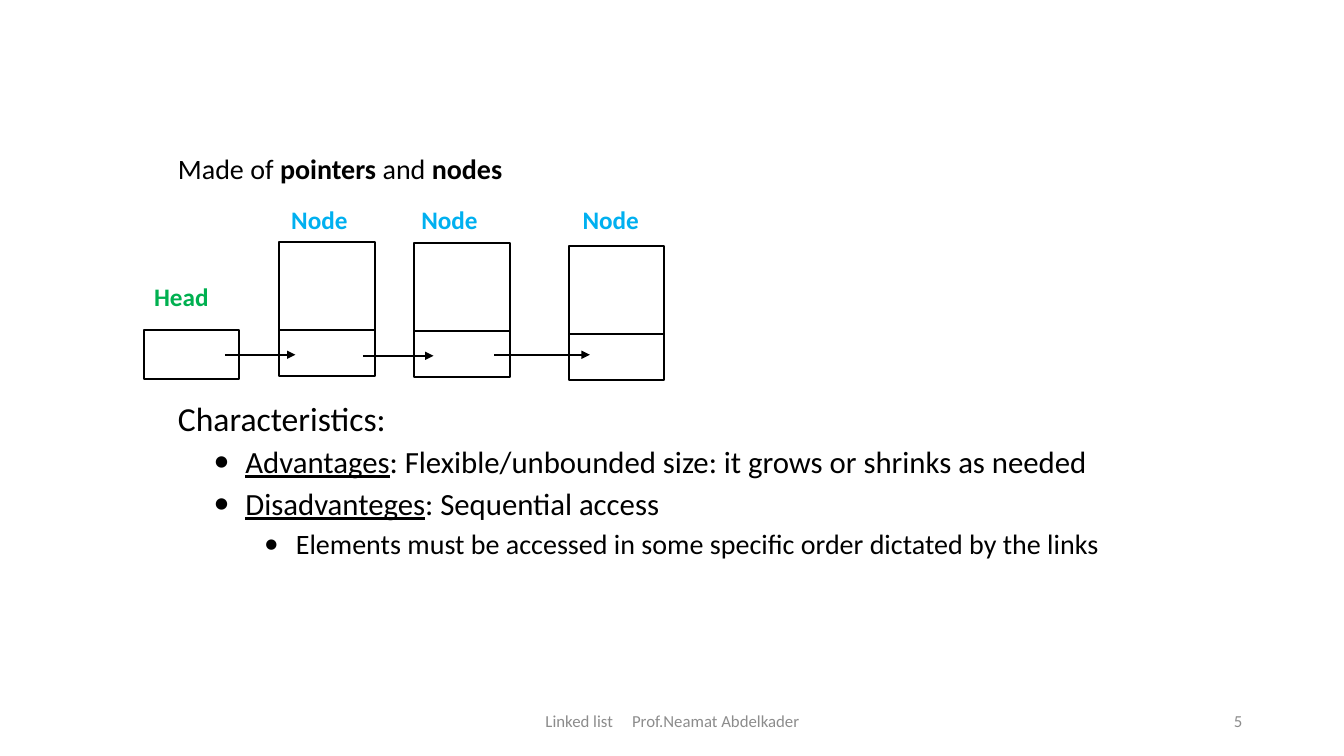
from dataclasses import dataclass
from lxml.etree import SubElement
from pptx import Presentation
from pptx.dml.color import RGBColor
from pptx.enum.shapes import MSO_CONNECTOR as CONN, MSO_SHAPE as SHAPE
from pptx.enum.text import MSO_ANCHOR as ANCHOR, PP_ALIGN as ALIGN
from pptx.oxml.ns import qn
from pptx.util import Inches, Pt


@dataclass(frozen=True)
class Theme:
    font: str = "Calibri"
    ink: str = "000000"
    head: str = "00B050"
    node: str = "00B0F0"
    muted: str = "8C8C8C"
    title: int = 20
    levels: tuple = (24, 22, 20)
    label: int = 18
    footer: int = 12
    line: float = 1.5


T = Theme()
WIDTH, HEIGHT = 13.33, 7.5
MARGIN = WIDTH / 8
CONTENT_W = WIDTH * 0.75

TITLE = [("Made of ", ""), ("pointers ", "b"), ("and ", ""), ("nodes", "b")]
BODY = [
    (0, [("Characteristics:", "")]),
    (1, [("Advantages", "u"), (": Flexible/unbounded size: it grows or shrinks as needed", "")]),
    (1, [("Disadvanteges", "u"), (": Sequential access", "")]),
    (2, [("Elements must be accessed in some specific order dictated by the links", "")]),
]
FOOTER = [("Linked list", ""), (" ", "wide"), ("Prof.Neamat Abdelkader", "")]
PAGE = [("5", "")]

INDENTS = (0, 0.67, 1.17)
HANGING = 0.31
WIDE_GAP = 1085

NODE_W, NODE_H, DATA_H = 0.95, 1.33, 0.87
NODES = [("Node", 2.79, 2.77, 2.4), ("Node", 4.08, 4.11, 2.41), ("Node", 5.68, 5.64, 2.44)]
HEAD = ("Head", 1.43, 2.74)
HEAD_BOX = (1.43, 3.27, 0.94, 0.49)
LABEL_Y, LABEL_W, LABEL_H = 1.98, 0.88, 0.4
LINKS = [(2.23, 3.52, 0.7), (3.6, 3.53, 0.7), (4.9, 3.52, 0.95)]
FOOTER_Y, FOOTER_H = 6.95, 0.4


def color(value):
    return RGBColor.from_string(value)


def add_box(slide, x, y, w, h, anchor=ANCHOR.TOP, wrap=True):
    tf = slide.shapes.add_textbox(*map(Inches, (x, y, w, h))).text_frame
    tf.word_wrap = wrap
    tf.vertical_anchor = anchor
    return tf


def fill_paragraph(p, runs, size, ink=T.ink, align=ALIGN.LEFT):
    p.alignment = align
    for text, style in runs:
        r = p.add_run()
        r.text = text
        f = r.font
        f.name, f.size, f.color.rgb = T.font, Pt(size), color(ink)
        f.bold = style == "b"
        f.underline = style == "u"
        if style == "wide":
            r._r.get_or_add_rPr().set("spc", str(WIDE_GAP))


def add_bullet(p, level):
    p.level = level
    pPr = p._p.get_or_add_pPr()
    pPr.set("marL", str(Inches(INDENTS[level])))
    pPr.set("indent", str(-Inches(HANGING)))
    SubElement(pPr, qn("a:buSzPct"), val="80000")
    SubElement(pPr, qn("a:buFont"), typeface=T.font)
    SubElement(pPr, qn("a:buChar"), char="●")


def add_rect(slide, x, y, w, h):
    sp = slide.shapes.add_shape(SHAPE.RECTANGLE, *map(Inches, (x, y, w, h)))
    sp.shadow.inherit = False
    sp.fill.background()
    sp.line.color.rgb = color(T.ink)
    sp.line.width = Pt(T.line)


def add_line(slide, x, y, length, arrow=False):
    cn = slide.shapes.add_connector(CONN.STRAIGHT, *map(Inches, (x, y, x + length, y)))
    cn.line.color.rgb = color(T.ink)
    cn.line.width = Pt(T.line)
    if arrow:
        SubElement(cn.line._get_or_add_ln(), qn("a:tailEnd"), type="triangle")
    SubElement(cn._element.spPr, qn("a:effectLst"))


def add_label(slide, text, x, y, ink):
    tf = add_box(slide, x, y, LABEL_W, LABEL_H, wrap=False)
    fill_paragraph(tf.paragraphs[0], [(text, "b")], T.label, ink)


def add_texts(slide):
    tf = add_box(slide, MARGIN, 1.23, CONTENT_W, 0.96, ANCHOR.BOTTOM)
    tf.margin_bottom = Inches(0.35)
    p = tf.paragraphs[0]
    p.line_spacing = 0.9
    fill_paragraph(p, TITLE, T.title)

    tf = add_box(slide, MARGIN, 3.94, CONTENT_W, 1.81)
    for i, (level, runs) in enumerate(BODY):
        p = tf.add_paragraph() if i else tf.paragraphs[0]
        p.line_spacing = 0.9
        p.space_before = Pt(6 if level else 10)
        fill_paragraph(p, runs, T.levels[level])
        if level:
            add_bullet(p, level)


def add_list_diagram(slide):
    add_rect(slide, *HEAD_BOX)
    add_label(slide, *HEAD, T.head)
    for name, label_x, x, y in NODES:
        add_rect(slide, x, y, NODE_W, NODE_H)
        add_line(slide, x, y + DATA_H, NODE_W)
        add_label(slide, name, label_x, LABEL_Y, T.node)
    for link in LINKS:
        add_line(slide, *link, arrow=True)


def add_footer(slide):
    for x, w, runs, align in (
        (4.42, 4.5, FOOTER, ALIGN.CENTER),
        (9.42, 3, PAGE, ALIGN.RIGHT),
    ):
        tf = add_box(slide, x, FOOTER_Y, w, FOOTER_H, ANCHOR.MIDDLE)
        fill_paragraph(tf.paragraphs[0], runs, T.footer, T.muted, align)


def main():
    prs = Presentation()
    prs.slide_width, prs.slide_height = Inches(WIDTH), Inches(HEIGHT)
    slide = prs.slides.add_slide(prs.slide_layouts[6])
    add_texts(slide)
    add_list_diagram(slide)
    add_footer(slide)
    prs.save("out.pptx")


if __name__ == "__main__":
    main()
